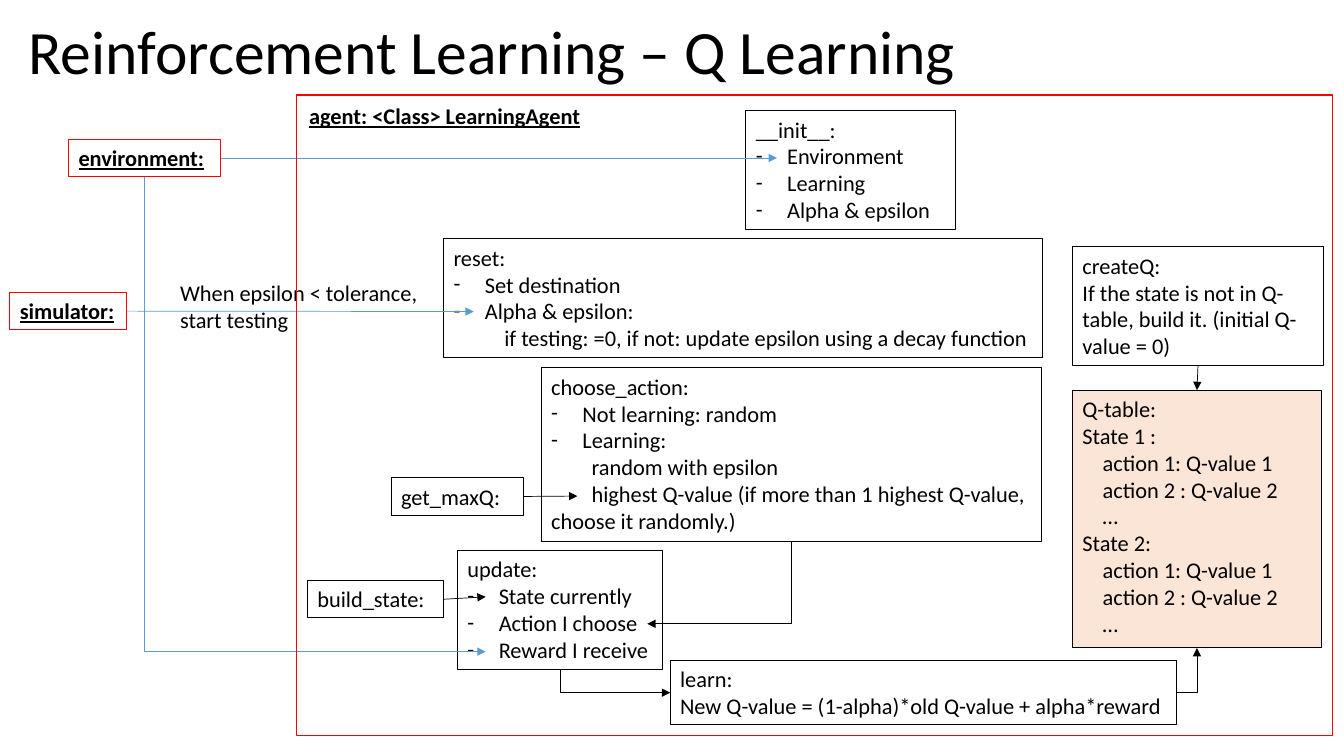
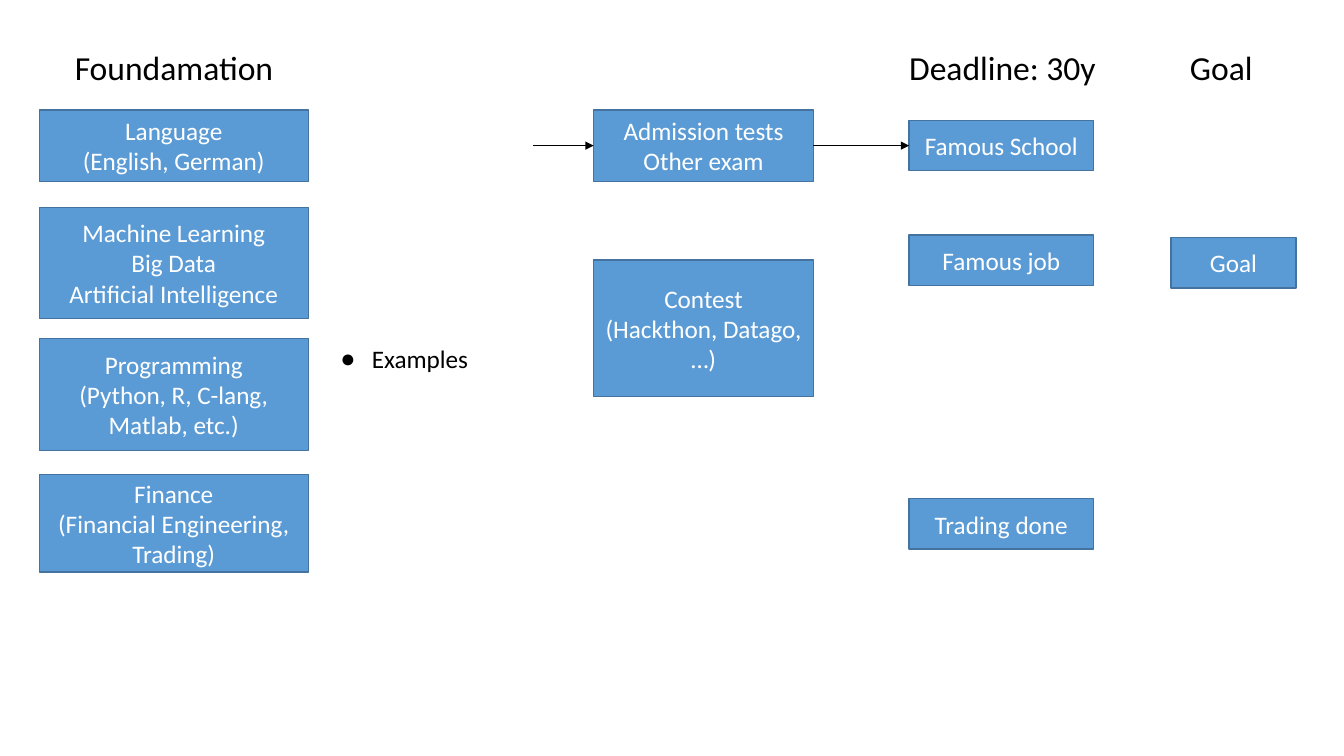
"""Build a Q-learning class diagram and a study roadmap."""
from dataclasses import dataclass

from lxml.etree import SubElement
from pptx import Presentation
from pptx.dml.color import RGBColor
from pptx.enum.shapes import MSO_CONNECTOR, MSO_SHAPE
from pptx.enum.text import MSO_ANCHOR, MSO_AUTO_SIZE, PP_ALIGN
from pptx.oxml.ns import qn
from pptx.util import Cm, Pt


@dataclass(frozen=True)
class Theme:
    font: str = "Calibri"
    bullet_font: str = "Arial"
    black: str = "000000"
    white: str = "FFFFFF"
    red: str = "FF0000"
    blue: str = "5B9BD5"
    dark_blue: str = "43739E"
    peach: str = "FBE5D6"
    title: int = 44
    heading: int = 24
    block: int = 18
    body: int = 16
    thin: float = 0.5
    border: float = 0.75
    thick: float = 1


THEME = Theme()
TOP, LEFT, BOTTOM, RIGHT = range(4)

LINE_STYLES = {
    "plain": (0, 0, None, None),
    "dash": (0.79, -0.79, "-", THEME.font),
    "dot": (0.79, -0.79, "●", THEME.bullet_font),
    "inset": (0, 0.51, None, None),
    "deep": (0, 1.02, None, None),
    "deeper": (0, 1.28, None, None),
}

TITLE = "Reinforcement Learning – Q Learning"
TITLE_AREA = (0.46, 0.36, 32.79, 2.03)
FRAME_AREA = (7.47, 2.39, 26.11, 16.15)

ACTION_LINES = [
    ("inset", "action 1: Q-value 1"),
    ("inset", "action 2 : Q-value 2"),
    ("inset", "…"),
]

METHODS = {
    "update": ((11.53, 13.87, 5.16, 3), [
        "update:",
        ("dash", "State currently"),
        ("dash", "Action I choose"),
        ("dash", "Reward I receive"),
    ]),
    "table": ((27.03, 9.83, 6.27, 6.5), [
        "Q-table:", "State 1 :", *ACTION_LINES, "State 2:", *ACTION_LINES,
    ]),
    "build_state": ((7.75, 14.63, 3.43, 0.94), ["build_state:"]),
    "get_max": ((9.86, 12.04, 3.33, 0.94), ["get_maxQ:"]),
    "choose": ((13.64, 9.27, 12.62, 4.37), [
        "choose_action:",
        ("dash", "Not learning: random"),
        ("dash", "Learning:"),
        ("deep", "random with epsilon"),
        ("deep", "highest Q-value (if more than 1 highest Q-value, choose it randomly.)"),
    ]),
    "learn": ((16.89, 16.64, 12.75, 1.63), [
        "learn:",
        "New Q-value = (1-alpha)*old Q-value + alpha*reward",
    ]),
    "create": ((27.03, 6.22, 6.32, 3), [
        "createQ:",
        "If the state is not in Q-table, build it. (initial Q-value = 0)",
    ]),
    "reset": ((11.18, 6.02, 15.09, 3), [
        "reset:",
        ("dash", "Set destination"),
        ("dash", "Alpha & epsilon:"),
        ("deeper", "if testing: =0, if not: update epsilon using a decay function"),
    ]),
    "init": ((18.8, 2.79, 5.28, 3), [
        "__init__:",
        ("dash", "Environment"),
        ("dash", "Learning"),
        ("dash", "Alpha & epsilon"),
    ]),
}

CALLERS = {
    "simulator": ((0.25, 7.37, 2.95, 0.94), ["simulator:"]),
    "environment": ((1.73, 3.51, 3.84, 0.94), ["environment:"]),
}

AGENT_LABEL = ((7.54, 2.46, 8.1, 0.94), ["agent: <Class> LearningAgent"])
TESTING_NOTE = ((4.29, 6.91, 6.53, 1.63), ["When epsilon < tolerance, start testing"])

CALLS = [
    (("update", BOTTOM), ("learn", LEFT), "down", THEME.black),
    (("learn", RIGHT), ("table", BOTTOM), "across", THEME.black),
    (("choose", BOTTOM), (16.31, 15.72), "down", THEME.black),
    (("create", BOTTOM), ("table", TOP), None, THEME.black),
    (("environment", BOTTOM), (12.24, 16.42), "down", THEME.blue),
    (("environment", RIGHT), (19.58, 3.98), None, THEME.blue),
    (("get_max", RIGHT), (14.55, 12.5), None, THEME.black),
    (("build_state", RIGHT), (12.24, 15.04), None, THEME.black),
    (("simulator", RIGHT), (11.94, 7.85), None, THEME.blue),
]

HEADING_ROW = (1.07, 1.27)
HEADINGS = [
    ("Foundamation", 1.5, 5.77),
    ("Deadline: 30y", 22.38, 5.77),
    ("Goal", 29.51, 2.54),
]

ROADMAP = [
    (0.99, 6.78, [
        (2.77, 1.8, ["Language", "(English, German)"]),
        (5.23, 2.79, ["Machine Learning", "Big Data", "Artificial Intelligence"]),
        (8.53, 2.82, ["Programming", "(Python, R, C-lang, Matlab, etc.)"]),
        (11.96, 2.46, ["Finance", "(Financial Engineering, Trading)"]),
    ]),
    (14.96, 5.54, [
        (2.77, 1.8, ["Admission tests", "Other exam"]),
        (6.55, 3.45, ["Contest", "(Hackthon, Datago, …)"]),
    ]),
    (22.91, 4.65, [
        (3.04, 1.26, ["Famous School"]),
        (5.92, 1.27, ["Famous job"]),
        (12.57, 1.27, ["Trading done"]),
    ]),
    (29.51, 3.15, [(5.99, 1.27, ["Goal"])]),
]

EXAMPLES = ((8.33, 8.53, 3.94, 1.02), [("dot", "Examples")])
ROADMAP_ARROWS = [
    ((13.44, 3.67), ("Admission tests", LEFT)),
    (("Admission tests", RIGHT), ("Famous School", LEFT)),
]


def rgb(color):
    return RGBColor.from_string(color)


def write(frame, lines, size=THEME.body, color=THEME.black, strong=False,
          align=PP_ALIGN.LEFT, anchor=MSO_ANCHOR.TOP, grow=True, spacing=None):
    frame.word_wrap = True
    frame.vertical_anchor = anchor
    frame.auto_size = MSO_AUTO_SIZE.SHAPE_TO_FIT_TEXT if grow else MSO_AUTO_SIZE.NONE
    for index, line in enumerate(lines):
        style, text = ("plain", line) if isinstance(line, str) else line
        para = frame.add_paragraph() if index else frame.paragraphs[0]
        para.alignment = align
        if spacing:
            para.line_spacing = spacing
        margin, indent, bullet, bullet_font = LINE_STYLES[style]
        properties = para._p.get_or_add_pPr()
        properties.set("marL", str(Cm(margin)))
        properties.set("indent", str(Cm(indent)))
        if bullet:
            SubElement(properties, qn("a:buFont")).set("typeface", bullet_font)
            SubElement(properties, qn("a:buChar")).set("char", bullet)
        span = para.add_run()
        span.text = text
        font = span.font
        font.name, font.size = THEME.font, Pt(size)
        font.color.rgb = rgb(color)
        font.bold = font.underline = strong


def add_label(page, area, lines, **text_format):
    label = page.shapes.add_textbox(*map(Cm, area))
    write(label.text_frame, lines, **text_format)


def add_box(page, area, lines=(), fill=None, line=THEME.black,
            width=THEME.border, **text_format):
    box = page.shapes.add_shape(MSO_SHAPE.RECTANGLE, *map(Cm, area))
    box.shadow.inherit = False
    if fill:
        box.fill.solid()
        box.fill.fore_color.rgb = rgb(fill)
    else:
        box.fill.background()
    box.line.color.rgb = rgb(line)
    box.line.width = Pt(width)
    if lines:
        write(box.text_frame, lines, **text_format)
    return box


def bend_connector(connector, first_leg):
    properties = connector._element.spPr
    properties.find(qn("a:prstGeom")).set("prst", "bentConnector2")
    if first_leg == "across":
        return
    rightward = connector.end_x > connector.begin_x
    width, height = connector.width, connector.height
    center_x = connector.left + width // 2
    center_y = connector.top + height // 2
    connector.left, connector.top = center_x - height // 2, center_y - width // 2
    connector.width, connector.height = height, width
    transform = properties.find(qn("a:xfrm"))
    transform.set("rot", "16200000" if rightward else "5400000")
    transform.set("flipH", "1" if rightward else "0")


def add_arrow(page, boxes, start, end, bend=None, color=THEME.black):
    kind = MSO_CONNECTOR.ELBOW if bend else MSO_CONNECTOR.STRAIGHT
    attached = [isinstance(point[0], str) for point in (start, end)]
    points = [(0, 0) if held else point for held, point in zip(attached, (start, end))]
    connector = page.shapes.add_connector(kind, *(Cm(value) for point in points for value in point))
    if attached[0]:
        connector.begin_connect(boxes[start[0]], start[1])
    if attached[1]:
        connector.end_connect(boxes[end[0]], end[1])
    if bend:
        bend_connector(connector, bend)
    connector.line.color.rgb = rgb(color)
    connector.line.width = Pt(THEME.thin)
    SubElement(connector.line._get_or_add_ln(), qn("a:tailEnd")).set("type", "triangle")
    SubElement(connector._element.spPr, qn("a:effectLst"))


def build_agent_page(deck):
    page = deck.slides.add_slide(deck.slide_layouts[5])
    title = page.shapes.title
    title.left, title.top, title.width, title.height = map(Cm, TITLE_AREA)
    write(title.text_frame, [TITLE], size=THEME.title, anchor=MSO_ANCHOR.MIDDLE,
          grow=False, spacing=0.9)
    boxes = {}
    for name, (area, lines) in METHODS.items():
        boxes[name] = add_box(page, area, lines, fill=THEME.peach if name == "table" else None)
    for name, (area, lines) in CALLERS.items():
        boxes[name] = add_box(page, area, lines, line=THEME.red, strong=True)
    add_label(page, *AGENT_LABEL, strong=True)
    add_label(page, *TESTING_NOTE)
    for start, end, bend, color in CALLS:
        add_arrow(page, boxes, start, end, bend, color)
    add_box(page, FRAME_AREA, line=THEME.red, width=THEME.thick)


def build_roadmap_page(deck):
    page = deck.slides.add_slide(deck.slide_layouts[6])
    top, height = HEADING_ROW
    for text, left, width in HEADINGS:
        add_label(page, (left, top, width, height), [text], size=THEME.heading,
                  align=PP_ALIGN.CENTER)
    boxes = {}
    for left, width, blocks in ROADMAP:
        for top, height, lines in blocks:
            boxes[lines[0]] = add_box(
                page, (left, top, width, height), lines, fill=THEME.blue,
                line=THEME.dark_blue, width=THEME.thick, size=THEME.block,
                color=THEME.white, align=PP_ALIGN.CENTER, anchor=MSO_ANCHOR.MIDDLE, grow=False)
    add_label(page, *EXAMPLES, size=THEME.block)
    for start, end in ROADMAP_ARROWS:
        add_arrow(page, boxes, start, end)


def main():
    deck = Presentation()
    deck.slide_width, deck.slide_height = Cm(33.87), Cm(19.05)
    build_agent_page(deck)
    build_roadmap_page(deck)
    deck.save("out.pptx")


if __name__ == "__main__":
    main()
